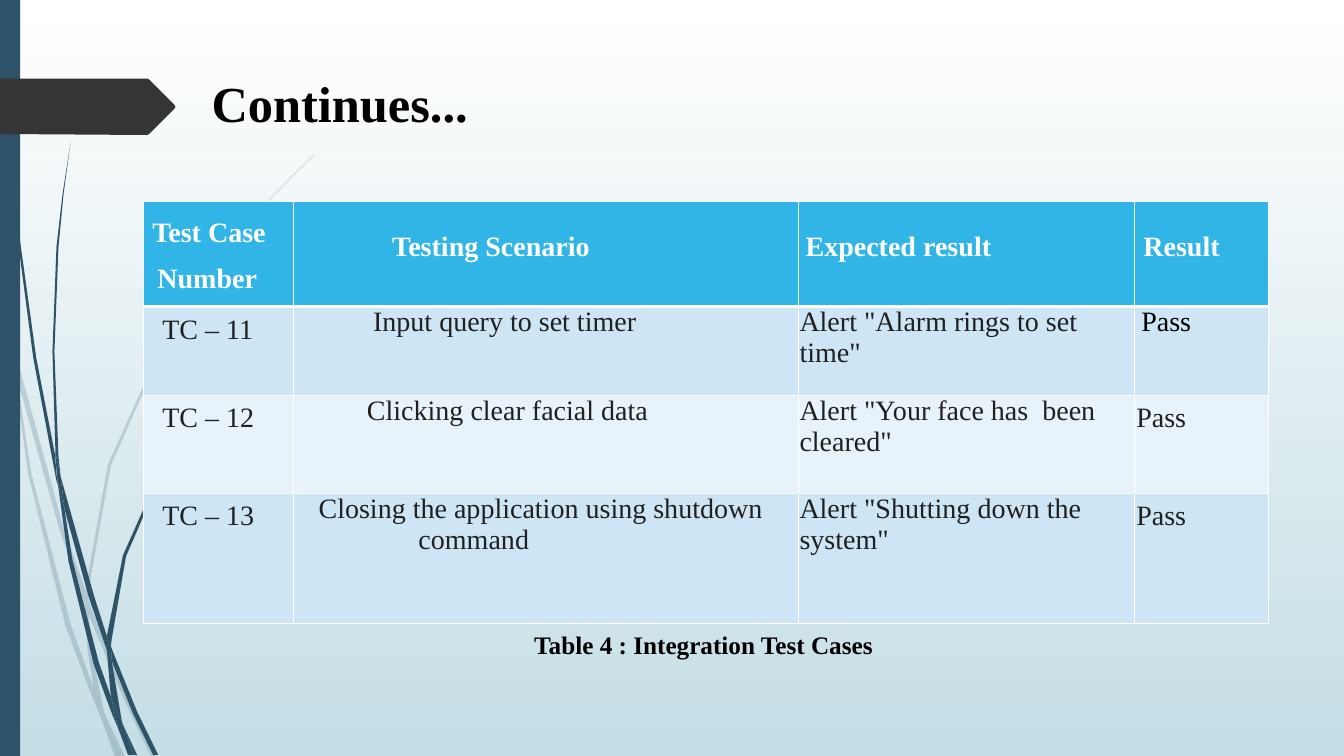
"""Build the test case slide with its table and curved side decoration."""
from lxml import etree
from pptx import Presentation
from pptx import util as u
from pptx.dml.color import RGBColor
from pptx.enum import shapes, text
from pptx.oxml import ns

COLORS = {
    "white": "FFFFFF", "sky": "C5DEE5", "stem": "2E5369", "tag": "353535",
    "header": "31B4E6", "odd": "CEE5F5", "even": "E8F2FA",
    "ink": "202020", "black": "000000",
}
FONT = "Times New Roman"
COLUMN_WIDTHS = [1.49, 5.01, 3.33, 1.33]
ROW_HEIGHTS = [1.04, 0.88, 0.98, 1.29]

PALE_STEMS = [
    "11,350 9,322 0,282 0,299 10,344",
    "58,522 84,599 85,586 62,520 14,345 17,376",
    "92,607 88,596 88,610 123,694 150,751 155,751 127,692",
    "119,751 124,751 105,711",
    "93,683 70,619 31,469 17,376 11,350 28,470 65,621 92,693 101,714 99,707",
    "84,599 87,646 93,683 96,692 105,711 103,706 91,646 88,610 88,608",
    "88,584 110,462 160,349 229,245 268,198 290,175 312,154 312,153 289,175 "
    "268,197 228,244 158,348 107,461 85,584 85,586 88,596",
    "101,714 114,751 119,751",
    "88,608 88,610 88,596 85,586 84,599",
    "96,692 93,683 99,707 101,714 119,751 105,711",
]
DARK_STEMS = [
    "7,110 17,233 33,355 56,477 57,481 55,457 55,453 36,355 19,232 8,109 5,48 "
    "4,0 3,0 4,48",
    "88,592 106,645 106,633 106,631 93,590 60,472 64,505",
    "113,649 110,641 111,656 132,708 152,749 157,749 136,706",
    "110,691 98,657 72,556 64,505 57,477 68,557 93,659 111,708 117,722 116,717",
    "60,472 58,453 54,349 58,245 63,193 70,141 62,193 56,245 52,349 55,449",
    "133,749 136,749 122,719",
    "57,477 64,505 60,472 55,449 55,453",
    "111,633 125,552 158,476 205,406 231,374 245,359 261,344 260,344 245,358 "
    "231,373 204,405 156,474 122,551 106,631 110,641",
    "117,722 127,749 131,749",
    "106,645 110,691 116,706 122,719 121,716 111,656 109,651",
    "106,645 109,651 111,656 110,641 106,631 106,633",
    "116,706 110,691 116,717 117,722 130,749 133,749 122,719",
]
TAG_OUTLINE = "0,0 146,0 148,1 173,26 174,28 173,30 148,55 146,56 0,55"

HEADER_ROW = [
    ("Test Case Number", {"margin": 0.14, "indent": -0.05, "spacing": 1.5}),
    ("Testing Scenario", {"margin": 0.98, "top": 0.3}),
    ("Expected result", {"margin": 0.07, "top": 0.3}),
    ("Result", {"margin": 0.09, "top": 0.3}),
]
CASE_ROWS = [
    [("TC – 11", {"margin": 0.19, "top": 0.08}),
     ("Input query to set timer", {"margin": 0.79}),
     ('Alert "Alarm rings to set time"', {"margin": 0.01}),
     ("Pass", {"margin": 0.07, "color": "black"})],
    [("TC – 12", {"margin": 0.19, "top": 0.07}),
     ("Clicking clear facial data", {"margin": 0.73}),
     ('Alert "Your face has  been cleared"', {"margin": 0.01}),
     ("Pass", {"margin": 0.02, "top": 0.07})],
    [("TC – 13", {"margin": 0.19, "top": 0.07}),
     ("Closing the application using shutdown command",
      {"margin": 1.24, "indent": -0.99}),
     ('Alert "Shutting down the system"', {"margin": 0.01}),
     ("Pass", {"margin": 0.02, "top": 0.07})],
]


def rgb(name):
    """Return the named colour."""
    return RGBColor.from_string(COLORS[name])


def write(paragraph, content, size, color, bold):
    """Add a formatted run to a paragraph."""
    run = paragraph.add_run()
    run.text = content
    formats = {"name": FONT, "size": u.Pt(size), "bold": bold}
    for attribute, value in formats.items():
        setattr(run.font, attribute, value)
    run.font.color.rgb = rgb(color)


def paint(shape, color, alpha=None):
    """Give a shape a flat fill without line or shadow."""
    shape.shadow.inherit = False
    shape.line.fill.background()
    shape.fill.solid()
    shape.fill.fore_color.rgb = rgb(color)
    if alpha:
        value = shape._element.spPr.find(".//" + ns.qn("a:srgbClr"))
        etree.SubElement(value, ns.qn("a:alpha")).set("val", str(alpha * 1000))


def add_outline(container, left, top, outline, color, alpha=None):
    """Draw a closed outline given in hundredths of an inch."""
    points = []
    for pair in outline.split():
        x, y = pair.split(",")
        points.append((u.Inches(left + int(x) / 100), u.Inches(top + int(y) / 100)))
    builder = container.build_freeform(*points[0])
    builder.add_line_segments(points[1:], close=True)
    paint(builder.convert_to_shape(), color, alpha)


def add_background(slide):
    """Fill the slide with a vertical gradient."""
    fill = slide.background.fill
    fill.gradient()
    fill.gradient_angle = 270
    for stop, color, position in zip(fill.gradient_stops, ("white", "sky"), (0, 1)):
        stop.color.rgb = rgb(color)
        stop.position = position


def add_decoration(slide, left, top, height):
    """Draw the stems, the side bar and the pointed tag."""
    for stems, alpha in ((PALE_STEMS, 20), (DARK_STEMS, None)):
        group = slide.shapes.add_group_shape()
        for outline in stems:
            add_outline(group.shapes, left, top, outline, "stem", alpha)
    bar = slide.shapes.add_shape(shapes.MSO_SHAPE.RECTANGLE, u.Inches(left),
                                 u.Inches(top), u.Inches(0.2), u.Inches(height))
    paint(bar, "stem")
    add_outline(slide.shapes, left, top + 0.78, TAG_OUTLINE, "tag")


def add_borders(cell, widths):
    """Draw white cell borders with the given point widths."""
    properties = cell._tc.get_or_add_tcPr()
    for side, width in widths.items():
        line = etree.SubElement(properties, ns.qn("a:ln" + side))
        line.set("w", str(u.Pt(width)))
        fill = etree.SubElement(line, ns.qn("a:solidFill"))
        etree.SubElement(fill, ns.qn("a:srgbClr")).set("val", COLORS["white"])


def fill_cell(cell, content, layout, fill, color, bold):
    """Set the fill, margins and text of a cell."""
    cell.fill.solid()
    cell.fill.fore_color.rgb = rgb(fill)
    margins = {"left": 0, "right": 0, "bottom": 0, "top": layout.get("top", 0)}
    for side, value in margins.items():
        setattr(cell, "margin_" + side, u.Inches(value))
    paragraph = cell.text_frame.paragraphs[0]
    paragraph.line_spacing = layout.get("spacing")
    properties = paragraph._p.get_or_add_pPr()
    properties.set("marL", str(u.Inches(layout["margin"])))
    properties.set("indent", str(u.Inches(layout.get("indent", 0))))
    write(paragraph, content, 20, layout.get("color", color), bold)


def add_case_table(slide, left, top):
    """Place the test case table."""
    rows = [HEADER_ROW] + CASE_ROWS
    table = slide.shapes.add_table(
        len(rows), len(COLUMN_WIDTHS), u.Inches(left), u.Inches(top),
        u.Inches(sum(COLUMN_WIDTHS)), u.Inches(sum(ROW_HEIGHTS))).table
    for column, width in zip(table.columns, COLUMN_WIDTHS):
        column.width = u.Inches(width)
    for index, (row, height) in enumerate(zip(rows, ROW_HEIGHTS)):
        table.rows[index].height = u.Inches(height)
        header = index == 0
        fill = "header" if header else ("even", "odd")[index % 2]
        widths = {"L": 1, "R": 1, "T": 3 if index == 1 else 1, "B": 3 if header else 1}
        for position, (content, layout) in enumerate(row):
            cell = table.cell(index, position)
            add_borders(cell, widths)
            fill_cell(cell, content, layout, fill, "white" if header else "ink", header)


def add_label(slide, left, top, width, height, content, size):
    """Place a bold one-line text box."""
    frame = slide.shapes.add_textbox(*map(u.Inches, (left, top, width, height))).text_frame
    frame.word_wrap = False
    frame.auto_size = text.MSO_AUTO_SIZE.SHAPE_TO_FIT_TEXT
    write(frame.paragraphs[0], content, size, "black", True)


def main():
    """Build and save the presentation."""
    presentation = Presentation()
    presentation.slide_width = u.Inches(13.33)
    presentation.slide_height = u.Inches(7.5)
    slide = presentation.slides.add_slide(presentation.slide_layouts[6])
    add_background(slide)
    add_decoration(slide, 0, 0, 7.5)
    add_case_table(slide, 1.42, 2)
    add_label(slide, 2, 0.67, 2.77, 0.71, "Continues...", 36)
    add_label(slide, 5.2, 6.19, 3.59, 0.4, "Table 4 : Integration Test Cases", 18)
    presentation.save("out.pptx")


if __name__ == "__main__":
    main()
